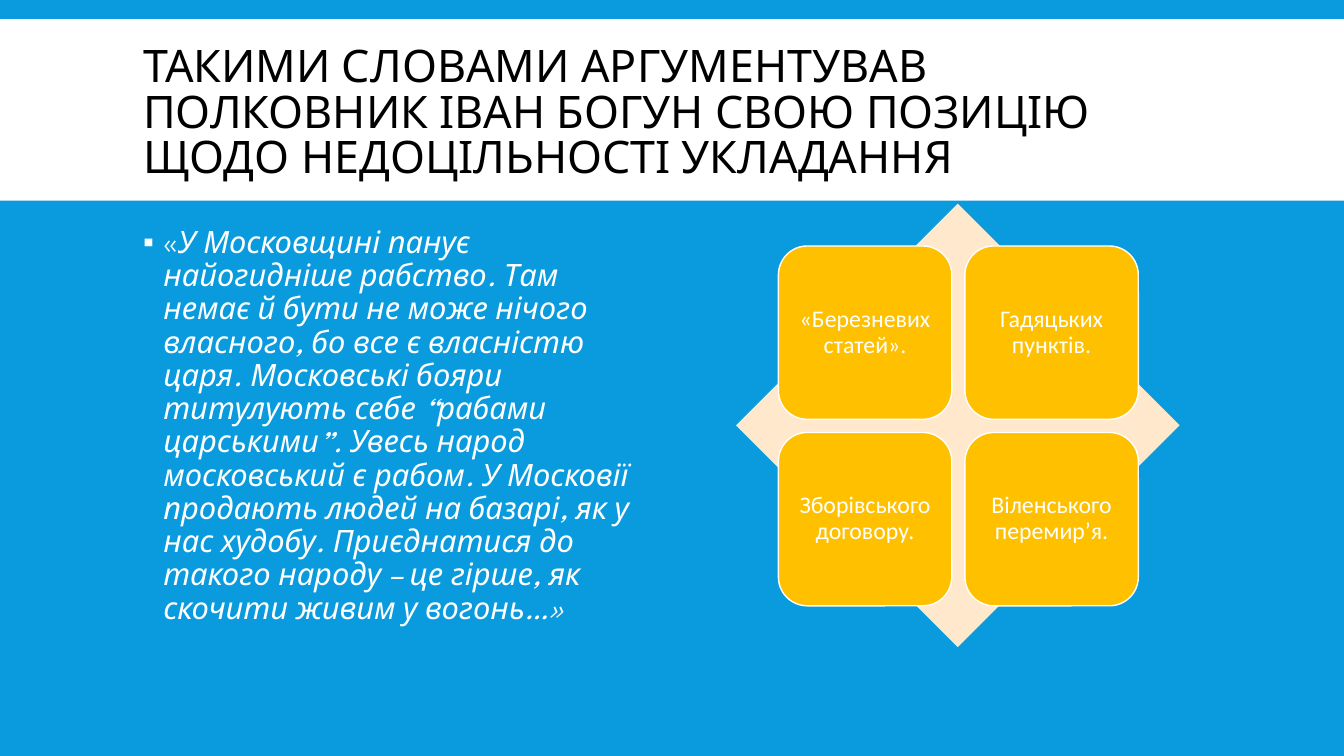
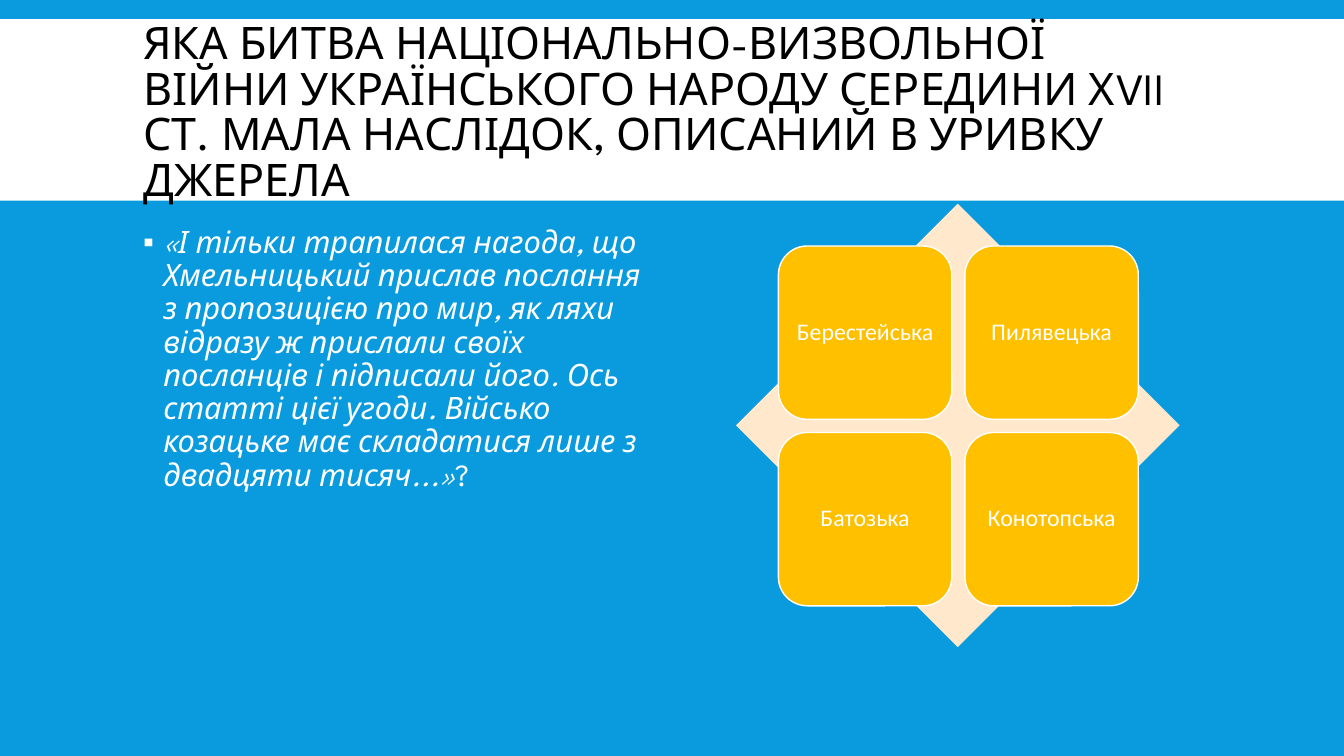
import pptx
import pptx.dml.color
import pptx.enum.shapes
import pptx.enum.text
import pptx.oxml.ns
import pptx.util
from lxml import etree

Inches = pptx.util.Inches
Pt = pptx.util.Pt
SHAPE = pptx.enum.shapes.MSO_SHAPE
ALIGN = pptx.enum.text.PP_ALIGN
ANCHOR = pptx.enum.text.MSO_ANCHOR

BLUE, WHITE, BLACK = "099BDD", "FFFFFF", "000000"
CREAM, AMBER = "FFE8CC", "FFC000"
TEXT_FONT, ANSWER_FONT = "League Spartan", "Calibri"

# Each question: title, quotation runs as (text, italic), four answers
QUESTIONS = [
    (
        "ТАКИМИ СЛОВАМИ АРГУМЕНТУВАВ ПОЛКОВНИК ІВАН БОГУН СВОЮ ПОЗИЦІЮ "
        "ЩОДО НЕДОЦІЛЬНОСТІ УКЛАДАННЯ",
        [
            ("«", False),
            ("У Московщині панує найогидніше рабство. Там немає й бути не може "
             "нічого власного, бо все є власністю царя. Московські бояри "
             "титулують себе “рабами царськими”. Увесь народ московський є "
             "рабом. У Московії продають людей на базарі, як у нас худобу. "
             "Приєднатися до такого народу – це гірше, як скочити живим у "
             "вогонь…»", True),
        ],
        ["«Березневих статей».", "Гадяцьких пунктів.",
         "Зборівського договору.", "Віленського перемир’я."],
    ),
    (
        "ЯКА БИТВА НАЦІОНАЛЬНО-ВИЗВОЛЬНОЇ ВІЙНИ УКРАЇНСЬКОГО НАРОДУ СЕРЕДИНИ "
        "ХVII СТ. МАЛА НАСЛІДОК, ОПИСАНИЙ В УРИВКУ ДЖЕРЕЛА",
        [
            ("«І тільки трапилася нагода, що Хмельницький прислав послання з "
             "пропозицією про мир, як ляхи відразу ж прислали своїх посланців і "
             "підписали його. Ось статті цієї угоди. Військо козацьке має "
             "складатися лише з двадцяти тисяч...»", True),
            ("?", False),
        ],
        ["Берестейська", "Пилявецька", "Батозька", "Конотопська"],
    ),
]


def rgb(hex_color):
    return pptx.dml.color.RGBColor.from_string(hex_color)


def add_filled(shapes, preset, left, top, width, height, color):
    shape = shapes.add_shape(preset, Inches(left), Inches(top),
                             Inches(width), Inches(height))
    shape.shadow.inherit = False
    shape.fill.solid()
    shape.fill.fore_color.rgb = rgb(color)
    shape.line.fill.background()
    return shape


prs = pptx.Presentation()
prs.slide_width, prs.slide_height = Inches(13.33), Inches(7.5)

# Shared background and placeholder positions
backdrop = prs.slide_master.background.fill
backdrop.solid()
backdrop.fore_color.rgb = rgb(BLUE)
layout = prs.slide_layouts[1]
areas = [(1.32, 0.31, 10.7, 1.65), (1.32, 2.2, 5.2, 4.6)]
for index, (left, top, width, height) in enumerate(areas):
    area = layout.placeholders[index]
    area.left, area.top = Inches(left), Inches(top)
    area.width, area.height = Inches(width), Inches(height)

for title_text, quotation_runs, answers in QUESTIONS:
    slide = prs.slides.add_slide(layout)

    # Title
    title_frame = slide.shapes.title.text_frame
    title_frame.text = title_text
    title_frame.auto_size = pptx.enum.text.MSO_AUTO_SIZE.NONE
    title_frame.vertical_anchor = ANCHOR.MIDDLE
    title = title_frame.paragraphs[0]
    title.alignment = ALIGN.LEFT
    title.line_spacing = 0.85
    title.font.name, title.font.size = TEXT_FONT, Pt(32)
    title.font.color.rgb = rgb(BLACK)

    # Quotation with a square bullet
    quotation_frame = slide.placeholders[1].text_frame
    quotation_frame.auto_size = pptx.enum.text.MSO_AUTO_SIZE.NONE
    quotation = quotation_frame.paragraphs[0]
    for text, italic in quotation_runs:
        run = quotation.add_run()
        run.text = text
        run.font.italic = italic
    properties = quotation._p.get_or_add_pPr()
    properties.set("marL", str(Inches(0.2)))
    properties.set("indent", str(-Inches(0.2)))
    qn = pptx.oxml.ns.qn
    bullet_color = etree.SubElement(properties, qn("a:buClr"))
    etree.SubElement(bullet_color, qn("a:srgbClr"), val=WHITE)
    etree.SubElement(properties, qn("a:buChar"), char="▪")
    quotation.line_spacing = 0.9
    quotation.space_before, quotation.space_after = Pt(0), Pt(2)
    quotation.font.name, quotation.font.size = TEXT_FONT, Pt(22)
    quotation.font.color.rgb = rgb(WHITE)

    # Answers: two by two over a diamond
    matrix = slide.shapes.add_group_shape().shapes
    add_filled(matrix, SHAPE.DIAMOND, 7.3, 2.02, 4.4, 4.4, CREAM)
    for index, answer_text in enumerate(answers):
        row, column = divmod(index, 2)
        tile = add_filled(matrix, SHAPE.ROUNDED_RECTANGLE, 7.72 + column * 1.85,
                          2.44 + row * 1.85, 1.72, 1.72, AMBER)
        tile.line.color.rgb = rgb(WHITE)
        tile.line.width = Pt(1)
        frame = tile.text_frame
        frame.word_wrap = True
        frame.vertical_anchor = ANCHOR.MIDDLE
        frame.margin_left = frame.margin_right = Inches(0.07)
        frame.margin_top = frame.margin_bottom = Inches(0.07)
        frame.text = answer_text
        answer = frame.paragraphs[0]
        answer.alignment = ALIGN.CENTER
        answer.line_spacing = 0.9
        answer.font.name, answer.font.size = ANSWER_FONT, Pt(17)
        answer.font.color.rgb = rgb(WHITE)

# White title band, moved to the back of the shared layout
band = add_filled(slide.shapes, SHAPE.RECTANGLE, 0, 0.19, 13.33, 1.8, WHITE)
layout.shapes.element.insert(2, band.element)

prs.save("out.pptx")
